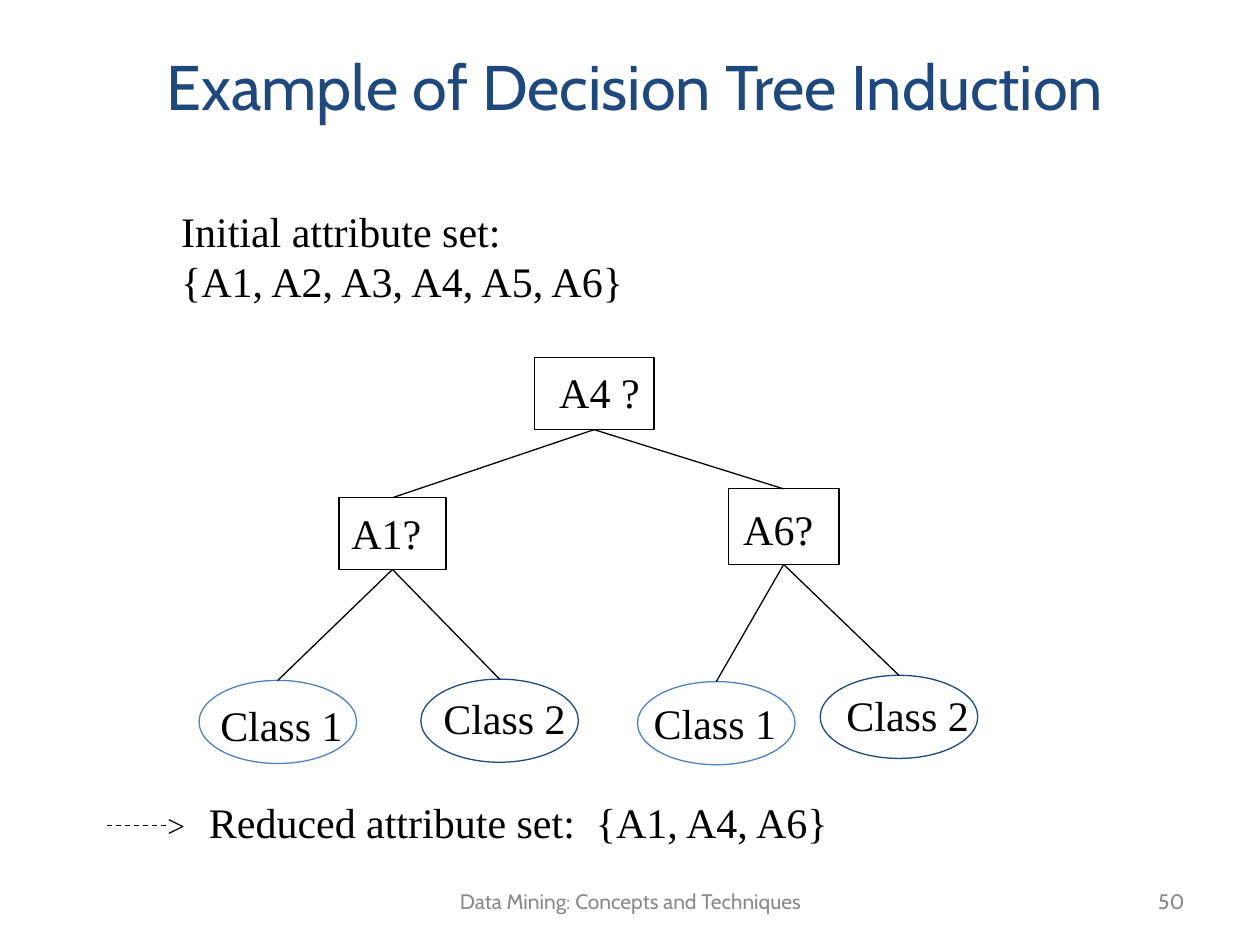
"""Builds the decision tree induction slide."""
from lxml import etree
from pptx import Presentation
from pptx.dml.color import RGBColor
from pptx.enum.dml import MSO_LINE
from pptx.enum.shapes import MSO_CONNECTOR, MSO_SHAPE
from pptx.enum.text import MSO_ANCHOR, MSO_AUTO_SIZE, PP_ALIGN
from pptx.oxml.ns import qn
from pptx.util import Inches, Pt

COLORS = {"black": "000000", "navy": "1F497D", "blue": "4F81BD", "gray": "898989"}
SERIF, SANS = "Times New Roman", "Cabin"
LEFT, CENTER, RIGHT = PP_ALIGN.LEFT, PP_ALIGN.CENTER, PP_ALIGN.RIGHT
TOP, MIDDLE = MSO_ANCHOR.TOP, MSO_ANCHOR.MIDDLE
NO_FIT, GROW = MSO_AUTO_SIZE.NONE, MSO_AUTO_SIZE.SHAPE_TO_FIT_TEXT
RECTANGLE, OVAL = MSO_SHAPE.RECTANGLE, MSO_SHAPE.OVAL
STRAIGHT, DASH = MSO_CONNECTOR.STRAIGHT, MSO_LINE.DASH
TITLE_ONLY = 5
TOP_SITE, BOTTOM_SITE = 0, 2
OVAL_SIZE, CLASS_SIZE, TEST_SIZE = (1.25, 0.66), (1.17, 0.5), (0.85, 0.5)

# name: (shape kind, outline, shape box, label, label box)
NODES = {
    "root": (RECTANGLE, "black", (4.24, 2.84, 0.95, 0.57), "A4 ?", (4.34, 2.86, 0.97, 0.5)),
    "left": (RECTANGLE, "black", (2.69, 3.95, 0.85, 0.57), "A1?", (2.69, 3.98, *TEST_SIZE)),
    "right": (RECTANGLE, "black", (5.78, 3.88, 0.88, 0.6), "A6?", (5.8, 3.95, *TEST_SIZE)),
    "left class 1": (OVAL, "blue", (1.58, 5.4, *OVAL_SIZE), "Class 1", (1.65, 5.5, *CLASS_SIZE)),
    "left class 2": (OVAL, "navy", (3.34, 5.39, *OVAL_SIZE), "Class 2", (3.42, 5.45, *CLASS_SIZE)),
    "right class 1": (OVAL, "blue", (5.06, 5.41, *OVAL_SIZE), "Class 1", (5.09, 5.49, *CLASS_SIZE)),
    "right class 2": (OVAL, "navy", (6.51, 5.36, *OVAL_SIZE), "Class 2", (6.62, 5.42, *CLASS_SIZE)),
}
BRANCHES = {
    "root": ("left", "right"),
    "left": ("left class 1", "left class 2"),
    "right": ("right class 1", "right class 2"),
}


def inches(values):
    """Convert a sequence of numbers to lengths."""
    return [Inches(value) for value in values]


def write_text(shape, text, size=24, font=SERIF, color="black", align=LEFT,
               anchor=TOP, wrap=False, fit=GROW):
    """Fill a shape with formatted text, one paragraph per line."""
    frame = shape.text_frame
    frame.text = text
    frame.word_wrap = wrap
    frame.auto_size = fit
    frame.vertical_anchor = anchor
    for paragraph in frame.paragraphs:
        paragraph.alignment = align
        paragraph.font.size = Pt(size)
        paragraph.font.name = font
        paragraph.font.color.rgb = RGBColor.from_string(COLORS[color])


def add_text(shapes, box, text, **style):
    """Add a text box."""
    write_text(shapes.add_textbox(*inches(box)), text, **style)


def style_line(line, color="black"):
    """Give an outline or connector its colour and width."""
    line.color.rgb = RGBColor.from_string(COLORS[color])
    line.width = Pt(0.75)


def add_line(shapes, start=(0, 0), end=(0, 0)):
    """Add a thin straight connector without shadow."""
    connector = shapes.add_connector(STRAIGHT, *inches(start + end))
    style_line(connector.line)
    etree.SubElement(connector._element.spPr, qn("a:effectLst"))
    return connector


def add_node(shapes, kind, color, box, label, label_box):
    """Add an outlined tree node and its label."""
    node = shapes.add_shape(kind, *inches(box))
    node.shadow.inherit = False
    node.fill.background()
    style_line(node.line, color)
    add_text(shapes, label_box, label, wrap=kind == RECTANGLE)
    return node


def add_tree(shapes):
    """Add all nodes and join parents to children."""
    nodes = {name: add_node(shapes, *node) for name, node in NODES.items()}
    for parent, children in BRANCHES.items():
        for child in children:
            branch = add_line(shapes)
            branch.begin_connect(nodes[parent], BOTTOM_SITE)
            branch.end_connect(nodes[child], TOP_SITE)


def add_dashed_arrow(shapes):
    """Add the grouped dashed line with its typed arrowhead."""
    group = shapes.add_group_shape()
    add_line(group.shapes, (0.85, 6.55), (1.33, 6.55)).line.dash_style = DASH
    add_text(group.shapes, (1.23, 6.35, 0.34, 0.4), ">", size=18)


def add_title(slide, text):
    """Place and format the title placeholder."""
    title = slide.shapes.title
    title.left, title.top, title.width, title.height = inches((0.83, 0.33, 8.42, 1.3))
    write_text(title, text, size=36, font=SANS, color="navy", align=CENTER,
               wrap=True, fit=NO_FIT)


def add_footer(shapes, box, text, align):
    """Add a small grey footer text."""
    add_text(shapes, box, text, size=12, font=SANS, color="gray", align=align,
             anchor=MIDDLE, wrap=True, fit=NO_FIT)


def main():
    """Build and save the slide."""
    presentation = Presentation()
    presentation.slide_width, presentation.slide_height = inches((10, 7.5))
    slide = presentation.slides.add_slide(presentation.slide_layouts[TITLE_ONLY])
    shapes = slide.shapes
    add_footer(shapes, (3.42, 6.95, 3.17, 0.4), "Data Mining: Concepts and Techniques", CENTER)
    add_footer(shapes, (7.17, 6.95, 2.33, 0.4), "50", RIGHT)
    add_title(slide, "Example of Decision Tree Induction")
    add_text(shapes, (1.34, 1.58, 3.8, 0.9),
             "Initial attribute set:\n{A1, A2, A3, A4, A5, A6}")
    add_tree(shapes)
    add_dashed_arrow(shapes)
    add_text(shapes, (1.56, 6.27, 5.15, 0.5), "Reduced attribute set:  {A1, A4, A6}")
    presentation.save("out.pptx")


if __name__ == "__main__":
    main()
